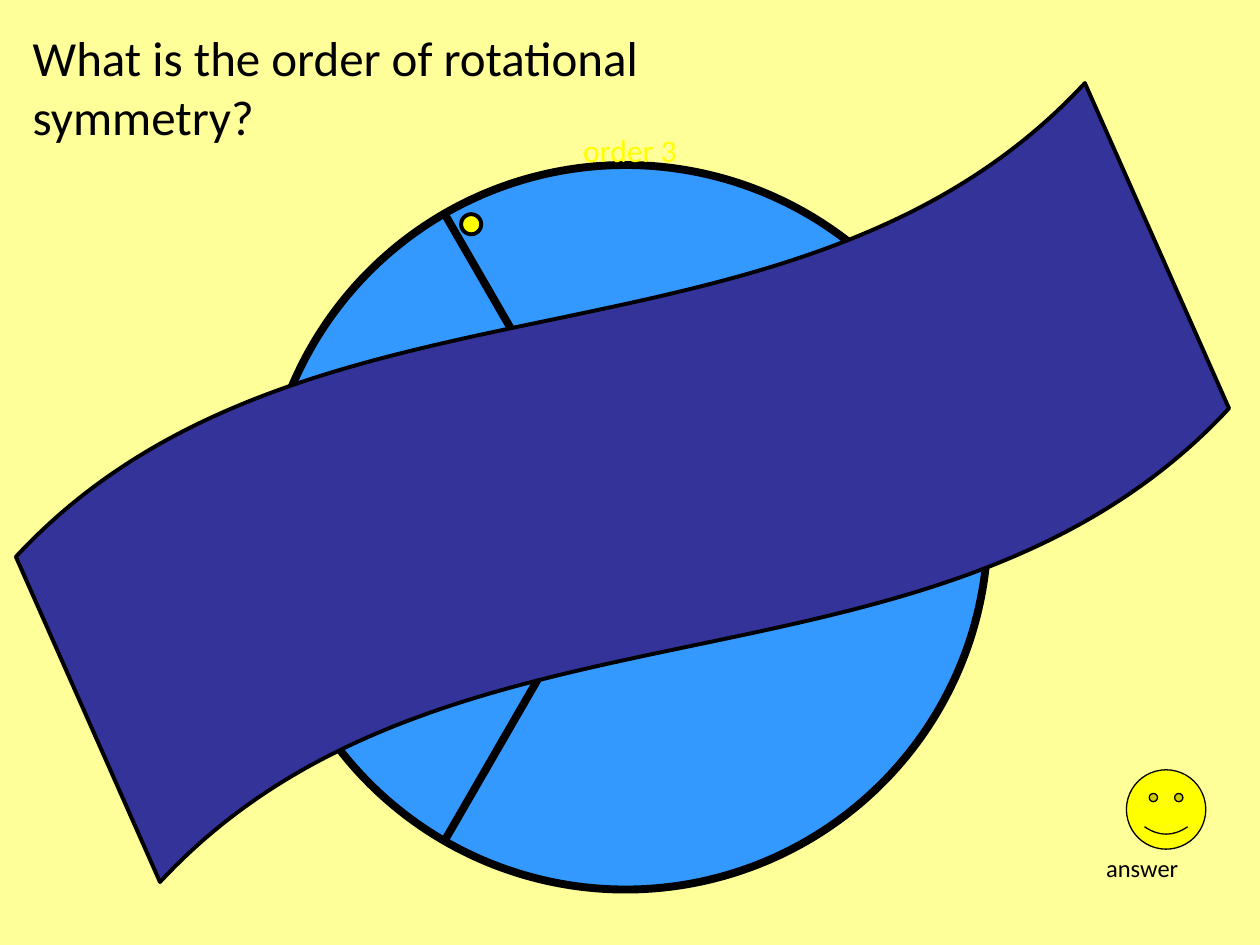
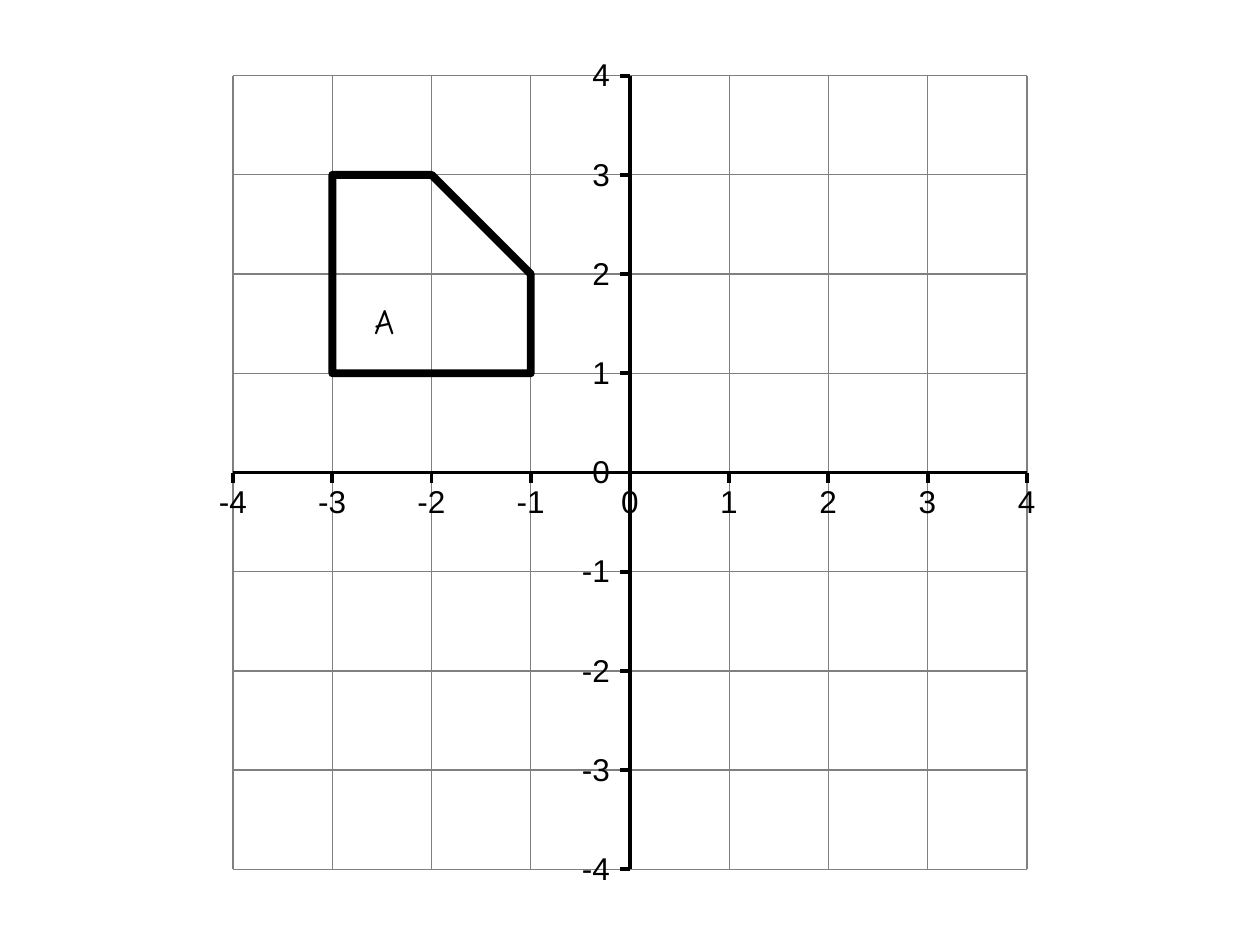
from math import cos, radians, sin

from lxml import etree
from pptx import Presentation
from pptx.dml.color import RGBColor
from pptx.enum.shapes import MSO_CONNECTOR as Conn, MSO_SHAPE as Shp
from pptx.enum.text import MSO_ANCHOR as Anchor, MSO_AUTO_SIZE as Auto, PP_ALIGN as Align
from pptx.oxml.ns import qn
from pptx.util import Inches, Pt

# Shared style: a grid of 100 columns by 75 rows, 0.1 inch each
COLS, ROWS = 100, 75
BLACK, WHITE, GREY = "000000", "FFFFFF", "808080"
CREAM, YELLOW, SKY, INDIGO = "FFFF99", "FFFF00", "3399FF", "333399"
HEAVY, MEDIUM, THIN = 4.5, 2.25, 0.75


def rgb(value):
    return RGBColor.from_string(value)


def grid(*units):
    return [Inches(u / 10) for u in units]


class Deck:
    def __init__(self):
        self.prs = Presentation()
        self.prs.slide_width, self.prs.slide_height = grid(COLS, ROWS)
        self.s = None

    def slide(self, layout, background):
        self.s = self.prs.slides.add_slide(self.prs.slide_layouts[layout])
        fill = self.s.background.fill
        fill.solid()
        fill.fore_color.rgb = rgb(background)

    def set_text(self, sp, text, size, font="Calibri", color=BLACK, align=Align.LEFT):
        tf = sp.text_frame
        tf.word_wrap = True
        tf.auto_size = Auto.NONE
        tf.vertical_anchor = Anchor.TOP
        p = tf.paragraphs[0]
        p.alignment = align
        r = p.add_run()
        r.text = text
        r.font.size, r.font.name = Pt(size), font
        r.font.color.rgb = rgb(color)
        return p

    def title(self, text, x, y, w, h, size):
        sp = self.s.shapes.title
        sp.left, sp.top, sp.width, sp.height = grid(x, y, w, h)
        self.set_text(sp, text, size)

    def text(self, text, x, y, w, h, size, **style):
        sp = self.s.shapes.add_textbox(*grid(x, y, w, h))
        return self.set_text(sp, text, size, **style)

    def stroke(self, line, width, color=BLACK):
        line.color.rgb = rgb(color)
        line.width = Pt(width)

    def shape(self, kind, x, y, w, h, fill, width):
        sp = self.s.shapes.add_shape(kind, *grid(x, y, w, h))
        sp.shadow.inherit = False
        sp.fill.solid()
        sp.fill.fore_color.rgb = rgb(fill)
        self.stroke(sp.line, width)
        return sp

    def line(self, x1, y1, x2, y2, width, color=BLACK):
        cn = self.s.shapes.add_connector(Conn.STRAIGHT, *grid(x1, y1, x2, y2))
        self.stroke(cn.line, width, color)
        etree.SubElement(cn._element.spPr, qn("a:effectLst"))

    def polygon(self, points, width):
        start, *rest = [grid(*pt) for pt in points]
        fb = self.s.shapes.build_freeform(*start)
        fb.add_line_segments(rest, close=True)
        sp = fb.convert_to_shape()
        sp.shadow.inherit = False
        sp.fill.background()
        self.stroke(sp.line, width)
        etree.SubElement(sp._element.spPr.find(qn("a:ln")), qn("a:round"))

    def center_tabs(self, p, stops):
        tabs = etree.SubElement(p._p.get_or_add_pPr(), qn("a:tabLst"))
        for stop in grid(*stops):
            etree.SubElement(tabs, qn("a:tab"), pos=str(int(stop)), algn="ctr")


def rotation_slide(deck):
    deck.slide(5, CREAM)
    deck.title("What is the order of rotational symmetry?", 1.6, 1.7, 65.7, 10.4, 28)

    # Wheel with three equal sectors and a marker
    cx, cy, radius = 49.65, 41.85, 28.75
    deck.shape(Shp.OVAL, cx - radius, cy - radius, 2 * radius, 2 * radius, SKY, HEAVY)
    for angle in (radians(a) for a in (0, 120, 240)):
        deck.line(cx, cy, cx + radius * cos(angle), cy + radius * sin(angle), HEAVY)
    deck.shape(Shp.OVAL, 36.6, 17, 1.6, 1.6, YELLOW, MEDIUM)

    # Wave that covers the wheel, with the answer
    wave = deck.shape(Shp.WAVE, 3, 20.2, 92.8, 36.2, INDIGO, MEDIUM)
    wave.rotation = 336.1
    wave.adjustments[0] = 0.11
    wave.adjustments[1] = 0
    deck.text("order 3", 40, 9.9, 20, 4, 18, color=YELLOW, align=Align.CENTER)

    # Answer button
    deck.shape(Shp.SMILEY_FACE, 89.4, 61.1, 6.3, 6.3, YELLOW, THIN)
    deck.text("answer", 86.8, 67.2, 11.8, 3.4, 14)


def coordinates_slide(deck):
    deck.slide(6, WHITE)
    cx, cy, half, limit = COLS / 2, ROWS / 2, 31.5, 4
    step, tick = half / limit, 0.8
    values = range(-limit, limit + 1)
    left, right, top, bottom = cx - half, cx + half, cy - half, cy + half

    def col(x):
        return cx + x * step

    def row(y):
        return cy - y * step

    # Squares and axes
    for v in values:
        deck.line(col(v), top, col(v), bottom, THIN, GREY)
        deck.line(left, row(v), right, row(v), THIN, GREY)
    deck.line(cx, top, cx, bottom, MEDIUM)
    deck.line(left, cy, right, cy, MEDIUM)

    # Ticks and the labels of the vertical axis
    for v in values:
        if v:
            deck.line(col(v), cy, col(v), cy + tick, MEDIUM)
            deck.line(cx, row(v), cx - tick, row(v), MEDIUM)
        deck.text(str(v), 43.4, row(v) - 2.1, 6, 4, 18, font="Arial", align=Align.RIGHT)

    # Labels of the horizontal axis, centred on tab stops
    inset = 1
    p = deck.text("".join(f"\t{v}" for v in values), 0, 37.8, COLS, 4, 18, font="Arial")
    deck.center_tabs(p, [col(v) - inset for v in values])

    # Shape A
    deck.text("A", 28.7, 23.3, 7.1, 4.4, 20, font="Comic Neue")
    corners = [(-3, 3), (-3, 1), (-1, 1), (-1, 2), (-2, 3)]
    deck.polygon([(col(x), row(y)) for x, y in corners], HEAVY)


def main():
    deck = Deck()
    rotation_slide(deck)
    coordinates_slide(deck)
    deck.prs.save("out.pptx")


if __name__ == "__main__":
    main()
